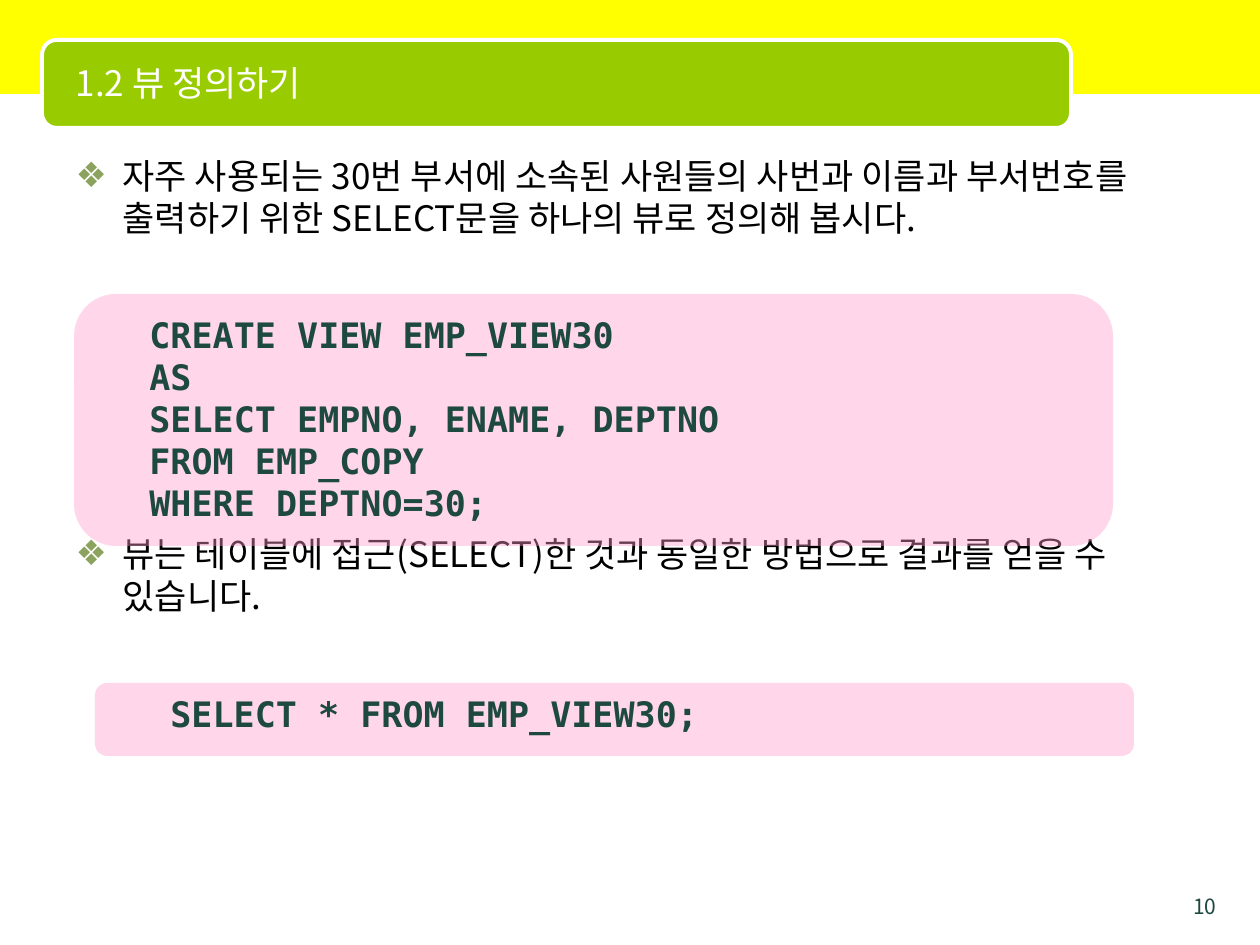
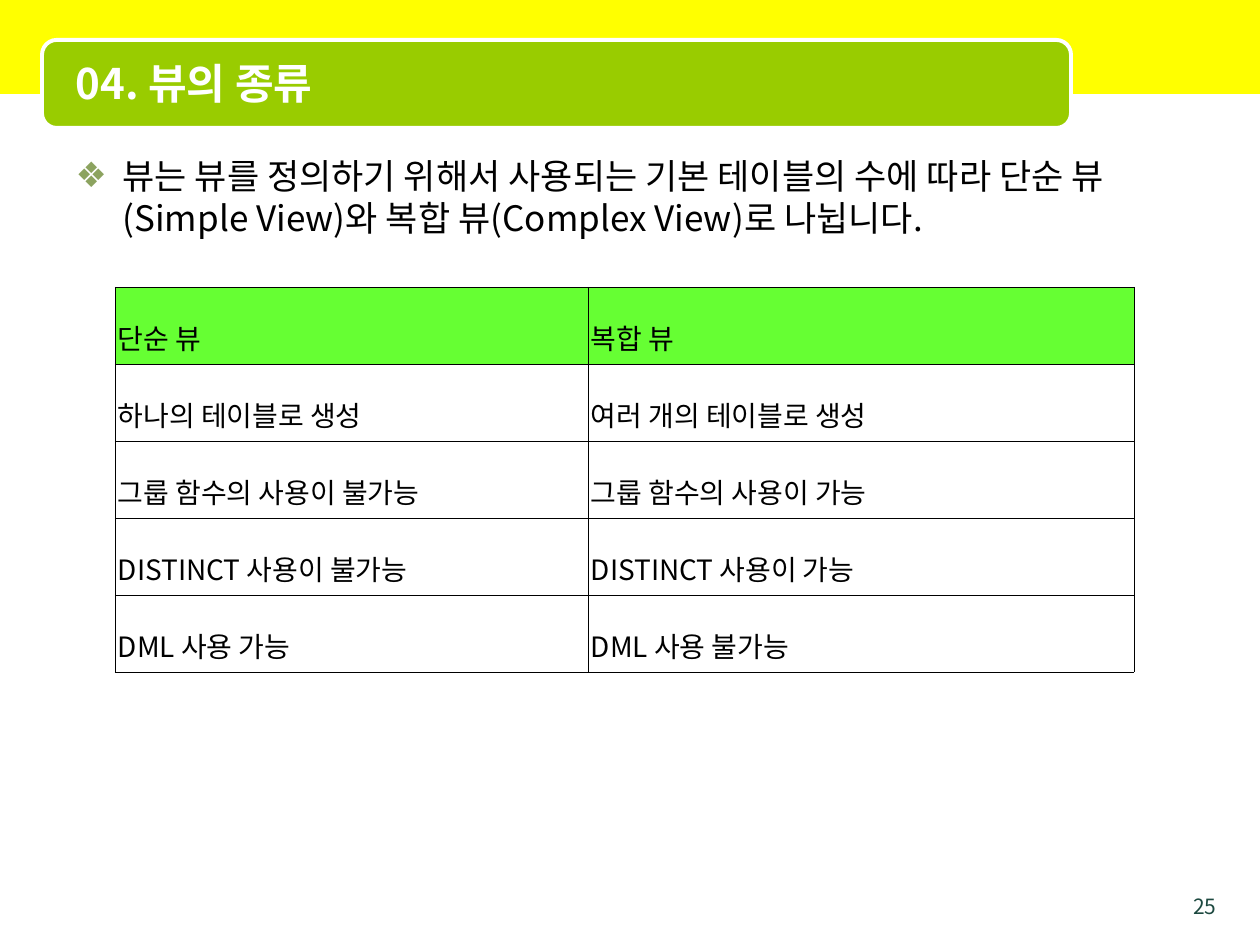
from lxml.etree import SubElement
from pptx import Presentation
from pptx.dml.color import RGBColor
from pptx.enum.shapes import MSO_SHAPE
from pptx.enum.text import MSO_ANCHOR, MSO_AUTO_SIZE, PP_ALIGN
from pptx.oxml.ns import qn
from pptx.util import Pt

YELLOW = RGBColor(0xFF, 0xFF, 0x00)
GREEN = RGBColor(0x99, 0xCC, 0x00)
HEADER_GREEN = RGBColor(0x66, 0xFF, 0x33)
PINK = RGBColor(0xFF, 0x99, 0xCC)
TEAL = RGBColor(0x1D, 0x49, 0x40)
WHITE = RGBColor(0xFF, 0xFF, 0xFF)
BLACK = RGBColor(0x00, 0x00, 0x00)
BULLET_COLOR = RGBColor(0x8C, 0xA3, 0x5F)
BODY_FONT = "Noto Sans CJK KR"
CODE_FONT = "DejaVu Sans Mono"


def px(*lengths):
    scaled = [round(length * 914400 / 126) for length in lengths]
    return scaled if len(scaled) > 1 else scaled[0]


def write(frame, text, size=20, color=BLACK, font=BODY_FONT, bold=False,
          align=PP_ALIGN.LEFT, spacing=None, gap=0, bullet=None):
    frame.word_wrap = True
    for index, line in enumerate(text.split("\n")):
        para = frame.add_paragraph() if index else frame.paragraphs[0]
        para.alignment = align
        para.line_spacing = spacing
        para.space_before = Pt(gap if index else 0)
        if bullet:
            properties = para._p.get_or_add_pPr()
            properties.set("marL", str(px(47)))
            properties.set("indent", str(px(-47)))
            bullet_color = SubElement(properties, qn("a:buClr"))
            SubElement(bullet_color, qn("a:srgbClr"), val=str(BULLET_COLOR))
            SubElement(properties, qn("a:buChar"), char=bullet)
        span = para.add_run()
        span.text = line
        span.font.size = Pt(size)
        span.font.bold = bold
        span.font.color.rgb = color
        span.font.name = font
        span_properties = span._r.get_or_add_rPr()
        span_properties.set("kern", "0")
        SubElement(span_properties, qn("a:ea"), typeface=font)


deck = Presentation()
deck.slide_width, deck.slide_height = px(1260, 945)
layout = deck.slide_layouts[1]

SLIDES = [
    ("1.2 뷰 정의하기", 20, False, "10",
     "자주 사용되는 30번 부서에 소속된 사원들의 사번과 이름과 부서번호를 출력하기 위한 SELECT문을 하나의 뷰로 정의해 봅시다.\n"
     "뷰는 테이블에 접근(SELECT)한 것과 동일한 방법으로 결과를 얻을 수 있습니다."),
    ("04. 뷰의 종류", 24, True, "25",
     "뷰는 뷰를 정의하기 위해서 사용되는 기본 테이블의 수에 따라 단순 뷰(Simple View)와 복합 뷰(Complex View)로 나뉩니다."),
]

pages = []
for title_text, title_size, title_bold, number, bullets in SLIDES:
    page = deck.slides.add_slide(layout)
    pages.append(page)

    title = page.shapes.title
    title.left, title.top, title.width, title.height = px(63, 44, 998, 78)
    title.text_frame.vertical_anchor = MSO_ANCHOR.MIDDLE
    title.text_frame.auto_size = MSO_AUTO_SIZE.NONE
    write(title.text_frame, title_text, size=title_size, color=WHITE, bold=title_bold)

    body = page.placeholders[1]
    body.left, body.top, body.width, body.height = px(63, 148, 1134, 774)
    body.text_frame.auto_size = MSO_AUTO_SIZE.NONE
    write(body.text_frame, bullets, spacing=Pt(24), gap=168, bullet="❖")

    number_box = page.shapes.add_textbox(*px(1166, 887, 63, 26))
    write(number_box.text_frame, number, size=12, color=TEAL, align=PP_ALIGN.RIGHT)

view_page, kinds_page = pages

top_band = view_page.shapes.add_shape(MSO_SHAPE.RECTANGLE, *px(0, 0, 1260, 94))
top_band.fill.solid()
top_band.fill.fore_color.rgb = YELLOW
top_band.line.fill.background()
title_band = view_page.shapes.add_shape(MSO_SHAPE.ROUNDED_RECTANGLE, *px(42, 40, 1029, 88))
title_band.fill.solid()
title_band.fill.fore_color.rgb = GREEN
title_band.line.color.rgb = WHITE
title_band.line.width = Pt(2.25)
for position, band in enumerate([top_band, title_band], start=2):
    band.shadow.inherit = False
    layout.shapes.element.insert(position, band.element)

CODE_PANELS = [
    (74, 294, 252, 307, 223,
     "CREATE VIEW EMP_VIEW30\nAS\nSELECT EMPNO, ENAME, DEPTNO\nFROM EMP_COPY\nWHERE DEPTNO=30;"),
    (95, 683, 73, 686, 55, "SELECT * FROM EMP_VIEW30;"),
]
for left, top, height, code_top, code_height, code in CODE_PANELS:
    group = view_page.shapes.add_group_shape()
    panel = group.shapes.add_shape(MSO_SHAPE.ROUNDED_RECTANGLE, *px(left, top, 1039, height))
    panel.shadow.inherit = False
    panel.fill.solid()
    panel.fill.fore_color.rgb = PINK
    panel_color = panel.element.spPr.find(qn("a:solidFill"))[0]
    SubElement(panel_color, qn("a:alpha"), val="40000")
    panel.line.fill.background()
    code_box = group.shapes.add_textbox(*px(left + 63, code_top, 987, code_height))
    write(code_box.text_frame, code, color=TEAL, font=CODE_FONT, bold=True, spacing=Pt(24))

KINDS = [
    ("단순 뷰", "복합 뷰"),
    ("하나의 테이블로 생성", "여러 개의 테이블로 생성"),
    ("그룹 함수의 사용이 불가능", "그룹 함수의 사용이 가능"),
    ("DISTINCT 사용이 불가능", "DISTINCT 사용이 가능"),
    ("DML 사용 가능", "DML 사용 불가능"),
]
ROW_HEIGHT = 77
table = kinds_page.shapes.add_table(
    len(KINDS), 2, *px(115, 287, 1019, ROW_HEIGHT * len(KINDS))).table
table.first_row = False
table.horz_banding = False
table.columns[0].width, table.columns[1].width = px(473, 546)
for row, texts in enumerate(KINDS):
    table.rows[row].height = px(ROW_HEIGHT)
    for column, text in enumerate(texts):
        cell = table.cell(row, column)
        cell.vertical_anchor = MSO_ANCHOR.MIDDLE
        cell.margin_left = cell.margin_right = px(3)
        cell.margin_top = cell.margin_bottom = px(6)
        write(cell.text_frame, text, size=16, align=PP_ALIGN.JUSTIFY, spacing=1.6)
        cell_properties = cell._tc.get_or_add_tcPr()
        for side in ("a:lnL", "a:lnR", "a:lnT", "a:lnB"):
            border = SubElement(cell_properties, qn(side), w=str(Pt(0.11)))
            border_fill = SubElement(border, qn("a:solidFill"))
            SubElement(border_fill, qn("a:srgbClr"), val=str(BLACK))
        if row == 0:
            cell.fill.solid()
            cell.fill.fore_color.rgb = HEADER_GREEN
        else:
            cell.fill.background()

deck.save("out.pptx")
